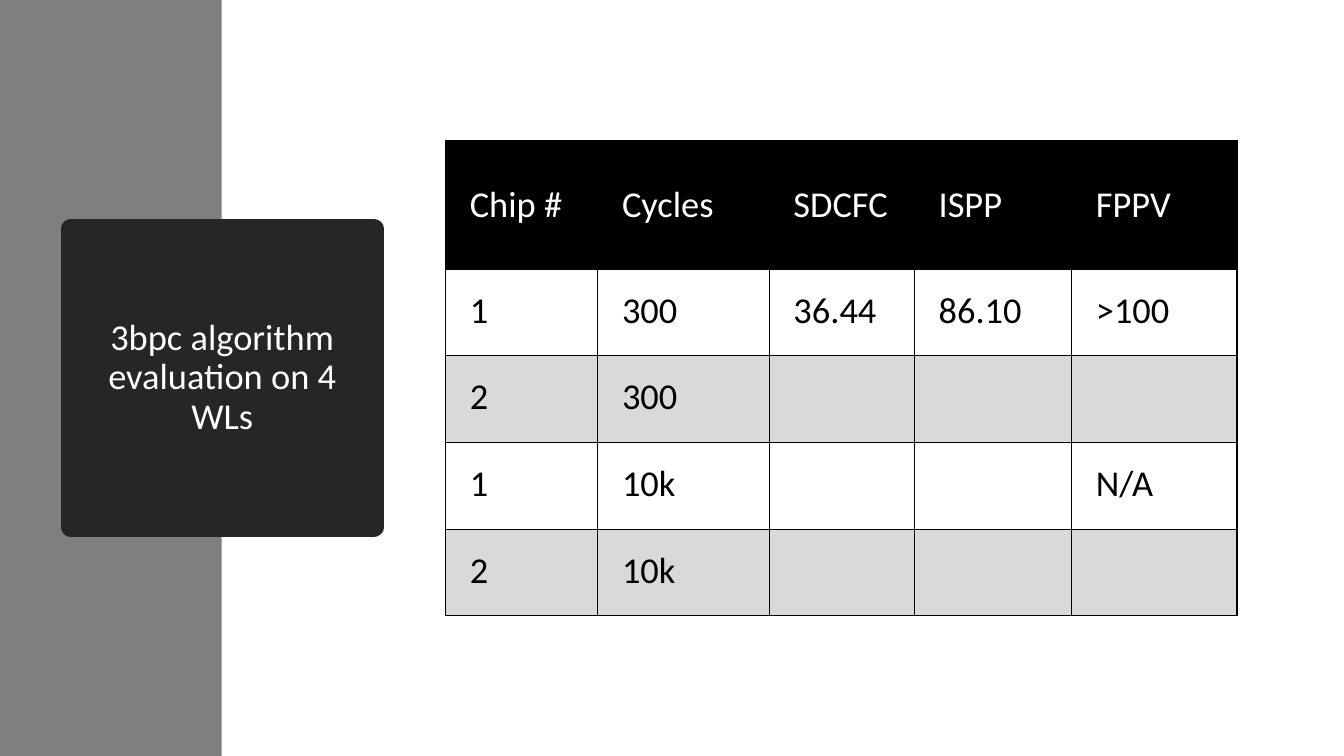
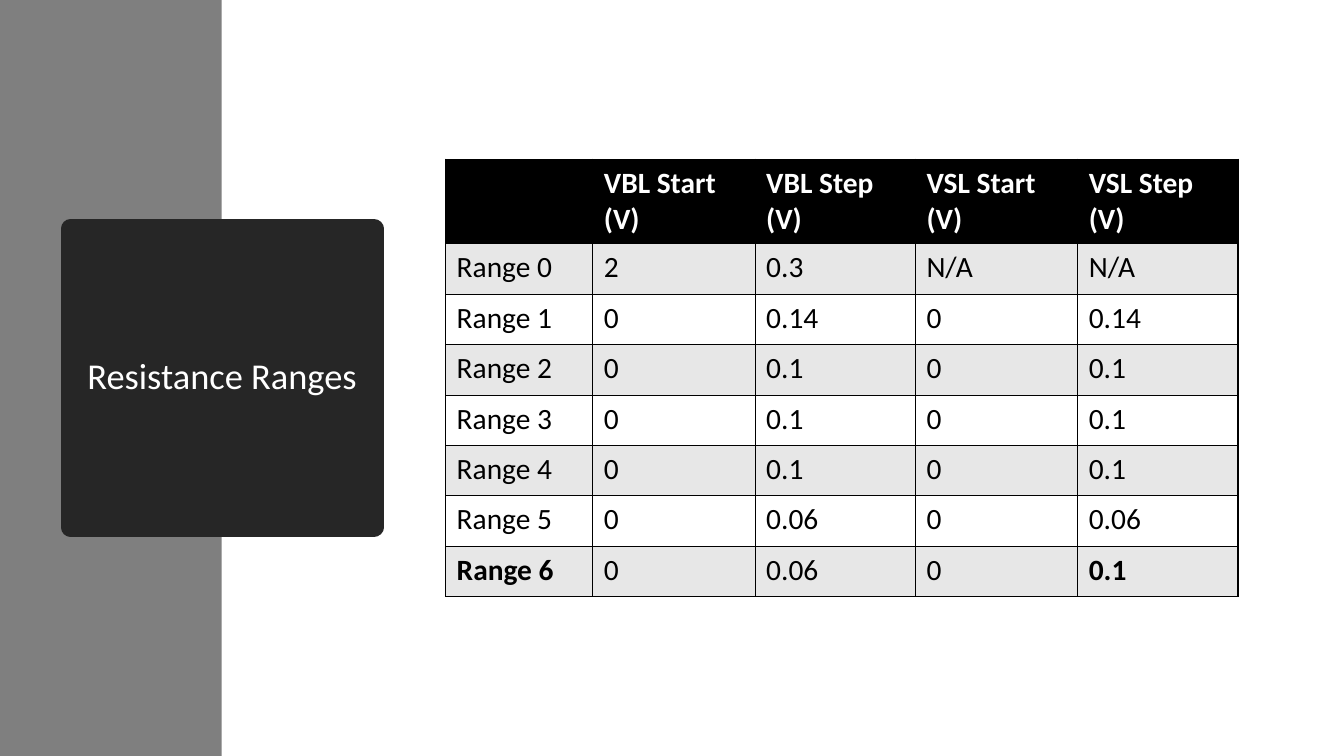
from dataclasses import dataclass

from lxml import etree
from pptx import Presentation
from pptx.dml.color import RGBColor
from pptx.enum.shapes import MSO_SHAPE
from pptx.enum.text import MSO_ANCHOR, MSO_AUTO_SIZE, PP_ALIGN
from pptx.oxml.ns import qn
from pptx.util import Inches, Pt

RECTANGLE = MSO_SHAPE.RECTANGLE
TOP, MIDDLE = MSO_ANCHOR.TOP, MSO_ANCHOR.MIDDLE
NO_AUTOFIT = MSO_AUTO_SIZE.NONE
CENTER = PP_ALIGN.CENTER
TITLE_ONLY = 5


@dataclass(frozen=True)
class Theme:
    font: str = "Calibri"
    black: str = "000000"
    white: str = "FFFFFF"
    band: str = "7F7F7F"
    title_box: str = "262626"
    title_size: float = 26
    title_border: float = 13.75
    grid_width: float = 1


@dataclass(frozen=True)
class TableStyle:
    """Size, margins (left, top, right, bottom) and fills of one table."""
    size: float
    margins: tuple
    row_fills: tuple
    header_bold: bool
    header_anchor: MSO_ANCHOR


THEME = Theme()
ROOMY = TableStyle(26, (0.24, 0.19, 0.18, 0.19), ("FFFFFF", "D9D9D9"), False, MIDDLE)
COMPACT = TableStyle(21, (0.11, 0.06, 0.11, 0.06), ("E7E7E7", "FFFFFF"), True, TOP)

EVALUATION = [
    ["Chip #", "Cycles", "SDCFC", "ISPP", "FPPV"],
    ["1", "300", "36.44", "86.10", ">100"],
    ["2", "300", "", "", ""],
    ["1", "10k", "", "", "N/A"],
    ["2", "10k", "", "", ""],
]
RANGES = [
    ["", "VBL Start (V)", "VBL Step (V)", "VSL Start (V)", "VSL Step (V)"],
    ["Range 0", "2", "0.3", "N/A", "N/A"],
    ["Range 1", "0", "0.14", "0", "0.14"],
    ["Range 2", "0", "0.1", "0", "0.1"],
    ["Range 3", "0", "0.1", "0", "0.1"],
    ["Range 4", "0", "0.1", "0", "0.1"],
    ["Range 5", "0", "0.06", "0", "0.06"],
    ["Range 6", "0", "0.06", "0", "0.1"],
]
RANGES_BOLD = {(7, 0), (7, 4)}


def set_fill(target, color):
    target.fill.solid()
    target.fill.fore_color.rgb = RGBColor.from_string(color)


def add_run(p, text, size, color, bold=False):
    r = p.add_run()
    r.text = text
    r.font.name = THEME.font
    r.font.size = Pt(size)
    r.font.bold = bold
    r.font.color.rgb = RGBColor.from_string(color)


def add_band(slide):
    """Add the grey side band behind everything else."""
    sp = slide.shapes.add_shape(RECTANGLE, 0, 0, Inches(2.2), Inches(7.5))
    sp.shadow.inherit = False
    set_fill(sp, THEME.band)
    sp.line.fill.background()
    slide.shapes._spTree.insert(2, sp._element)


def set_title(slide, text):
    """Fill the title box; its thick round-joined line softens the corners."""
    sp = slide.shapes.title
    sp.left, sp.top = Inches(0.7), Inches(2.27)
    sp.width, sp.height = Inches(3.01), Inches(2.96)
    set_fill(sp, THEME.title_box)
    set_fill(sp.line, THEME.title_box)
    sp.line.width = Pt(THEME.title_border)
    etree.SubElement(sp.line._get_or_add_ln(), qn("a:round"))
    tf = sp.text_frame
    tf.word_wrap = True
    tf.auto_size = NO_AUTOFIT
    tf.vertical_anchor = MIDDLE
    p = tf.paragraphs[0]
    p.alignment = CENTER
    p.line_spacing = 0.9
    add_run(p, text, THEME.title_size, THEME.white)


def set_borders(cell):
    tc_pr = cell._tc.get_or_add_tcPr()
    for i, side in enumerate(("a:lnL", "a:lnR", "a:lnT", "a:lnB")):
        ln = etree.Element(qn(side), w=str(Pt(THEME.grid_width)))
        fill = etree.SubElement(ln, qn("a:solidFill"))
        etree.SubElement(fill, qn("a:srgbClr"), val=THEME.black)
        tc_pr.insert(i, ln)


def format_cell(cell, text, style, row, bold):
    header = row == 0
    fill = THEME.black if header else style.row_fills[(row - 1) % 2]
    set_fill(cell, fill)
    set_borders(cell)
    (cell.margin_left, cell.margin_top,
     cell.margin_right, cell.margin_bottom) = map(Inches, style.margins)
    cell.vertical_anchor = style.header_anchor if header else TOP
    if text:
        color = THEME.white if header else THEME.black
        add_run(cell.text_frame.paragraphs[0], text, style.size, color,
                bold or (header and style.header_bold))


def add_table(slide, rows, top, widths, header_height, row_height, style, bold_cells=()):
    heights = [header_height] + [row_height] * (len(rows) - 1)
    table = slide.shapes.add_table(
        len(rows), len(widths), Inches(4.42), Inches(top),
        Inches(sum(widths)), Inches(sum(heights))).table
    table.horz_banding = False
    for column, width in zip(table.columns, widths):
        column.width = Inches(width)
    for i, (height, values) in enumerate(zip(heights, rows)):
        table.rows[i].height = Inches(height)
        for j, text in enumerate(values):
            format_cell(table.cell(i, j), text, style, i, (i, j) in bold_cells)


def add_slide(prs, title):
    slide = prs.slides.add_slide(prs.slide_layouts[TITLE_ONLY])
    add_band(slide)
    set_title(slide, title)
    return slide


def main():
    prs = Presentation()
    prs.slide_width, prs.slide_height = Inches(13.33), Inches(7.5)

    slide = add_slide(prs, "3bpc algorithm evaluation on 4 WLs")
    add_table(slide, EVALUATION, 1.39, [1.51, 1.7, 1.44, 1.56, 1.64],
              1.28, 0.86, ROOMY)

    slide = add_slide(prs, "Resistance Ranges")
    add_table(slide, RANGES, 1.58, [1.46, 1.61, 1.59, 1.61, 1.59],
              0.84, 0.5, COMPACT, RANGES_BOLD)

    prs.save("out.pptx")


if __name__ == "__main__":
    main()
